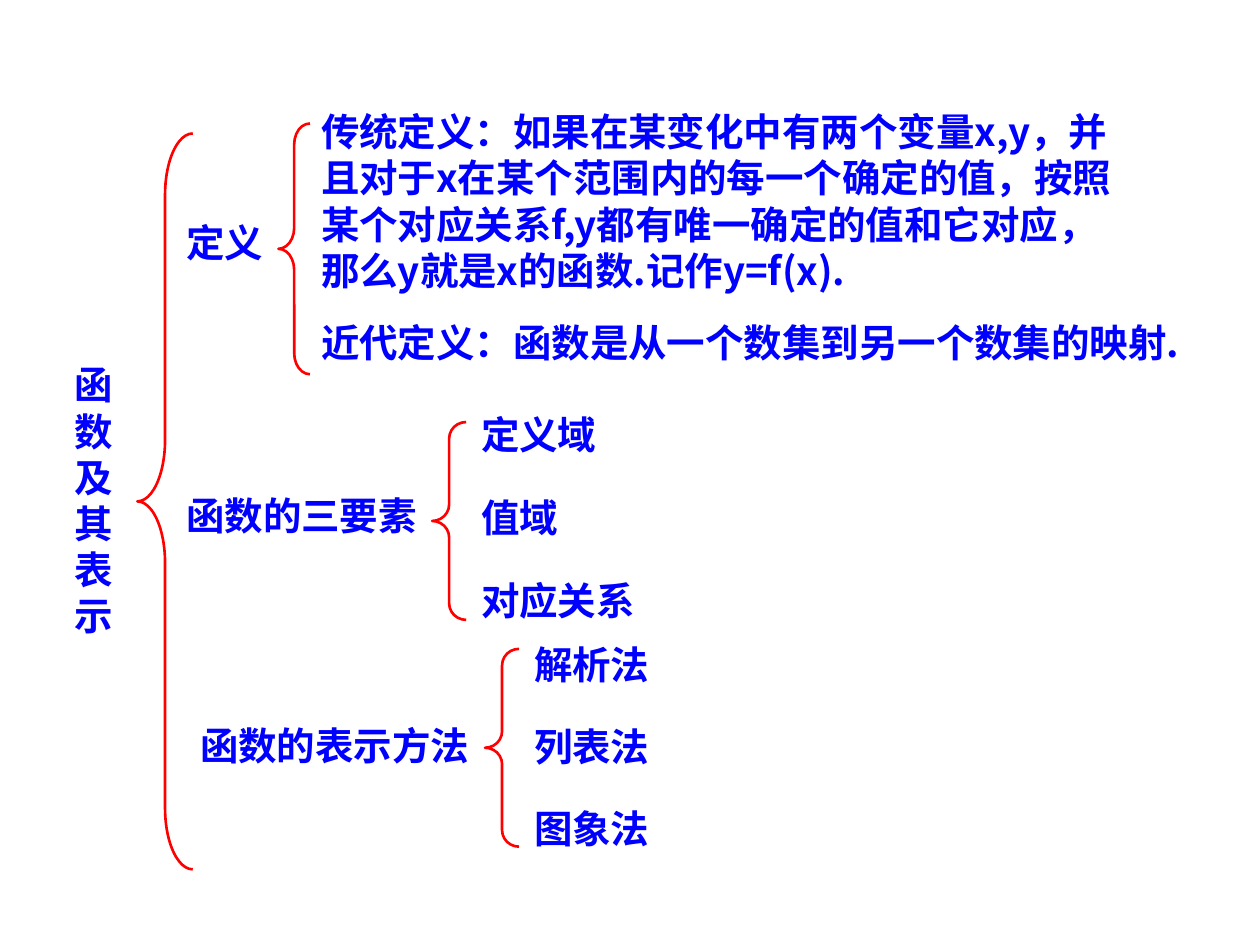
from lxml.etree import SubElement
from pptx import Presentation
from pptx.dml.color import RGBColor
from pptx.enum.shapes import MSO_SHAPE
from pptx.oxml.ns import qn
from pptx.util import Inches, Pt

COLORS = {"text": "0000FF", "brace": "FF0000"}
FONT = "Noto Sans CJK SC"
LINE_HEIGHT = 0.47


def add_label(slide, text, left, top, width, height=LINE_HEIGHT):
    box = slide.shapes.add_textbox(Inches(left), Inches(top), Inches(width), Inches(height))
    text_frame = box.text_frame
    text_frame.word_wrap = True
    text_frame.text = text
    paragraph = text_frame.paragraphs[0]
    paragraph.line_spacing = Pt(26.4)
    run = paragraph.runs[0]
    run.font.size = Pt(22)
    run.font.bold = True
    run.font.color.rgb = RGBColor.from_string(COLORS["text"])
    run.font.name = FONT
    SubElement(run.font._element, qn("a:ea"), typeface=FONT)


def add_brace(slide, left, top, width, height):
    brace = slide.shapes.add_shape(
        MSO_SHAPE.LEFT_BRACE, Inches(left), Inches(top), Inches(width), Inches(height))
    brace.shadow.inherit = False
    brace.adjustments[0] = height / 12 / width  # curls span a twelfth of the height
    brace.fill.background()
    brace.line.color.rgb = RGBColor.from_string(COLORS["brace"])
    brace.line.width = Pt(1.5)


def add_root(slide, left, top):
    add_label(slide, "函数及其表示", left, top + 1.76, 0.56, 2.3)
    add_brace(slide, left + 0.6, top, 0.44, 5.84)


def add_definitions(slide, left, top):
    add_label(slide, "定义", left, top + 0.88, 2.47)
    add_brace(slide, left + 0.83, top + 0.17, 0.25, 1.99)
    add_label(slide, "传统定义：如果在某变化中有两个变量x,y，并且对于x在某个范围内的每一个确定的值，"
                     "按照某个对应关系f,y都有唯一确定的值和它对应，那么y就是x的函数.记作y=f(x).",
              left + 1.07, top, 6.51, 1.57)
    add_label(slide, "近代定义：函数是从一个数集到另一个数集的映射.",
              left + 1.07, top + 1.67, 7.29)


def add_list_branch(slide, title, items, left, top, title_width, brace_offset, brace_drop, pitch):
    """Title, brace and evenly spaced items, the title level with the middle item."""
    brace_left = left + brace_offset
    add_label(slide, title, left, top + pitch - 0.01, title_width)
    add_brace(slide, brace_left, top + brace_drop, 0.27, 1.57)
    for index, item in enumerate(items):
        add_label(slide, item, brace_left + 0.29, top + index * pitch, 2.47)


def main():
    presentation = Presentation()
    presentation.slide_width = Inches(10)
    presentation.slide_height = Inches(7.5)
    slide = presentation.slides.add_slide(presentation.slide_layouts[6])
    add_root(slide, 0.49, 1.06)
    add_definitions(slide, 1.38, 0.81)
    add_list_branch(slide, "函数的三要素", ["定义域", "值域", "对应关系"],
                    1.38, 3.21, 2.47, 2.05, 0.14, 0.66)
    add_list_branch(slide, "函数的表示方法", ["解析法", "列表法", "图象法"],
                    1.49, 5.04, 2.76, 2.36, 0.11, 0.65)
    presentation.save("out.pptx")


if __name__ == "__main__":
    main()
